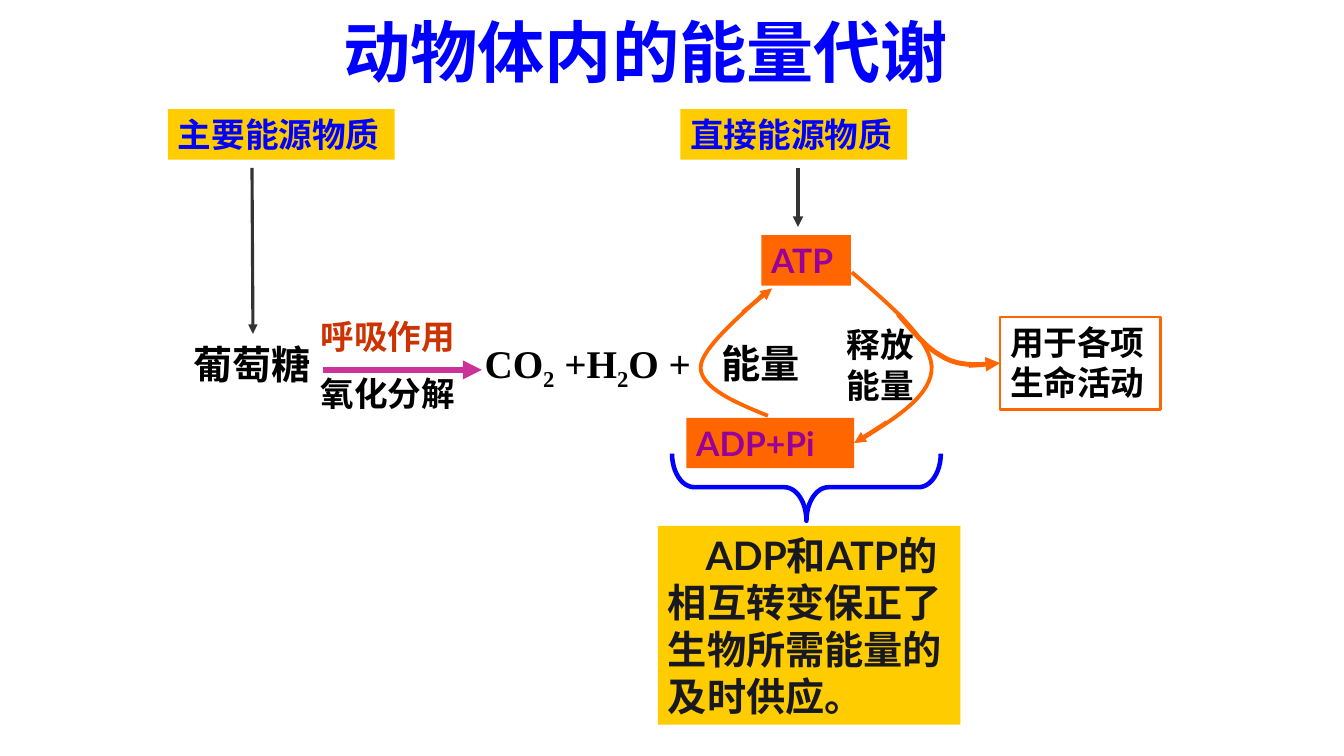
from lxml.etree import SubElement
from pptx import Presentation
from pptx.dml.color import RGBColor
from pptx.enum.shapes import MSO_CONNECTOR, MSO_SHAPE
from pptx.enum.text import MSO_ANCHOR, PP_ALIGN
from pptx.oxml.ns import qn
from pptx.util import Pt

SERIF, SANS = "Times New Roman", "Lato"
BLUE, YELLOW, ORANGE, PURPLE = "0000FF", "FFCC00", "FF6600", "990099"

presentation = Presentation()
presentation.slide_width, presentation.slide_height = Pt(960), Pt(540)
slide = presentation.slides.add_slide(presentation.slide_layouts[6])
shapes = slide.shapes


def color(hex_code):
    return RGBColor.from_string(hex_code)


def add_label(lines, left, top, width, height, size, text_colors,
              font=SERIF, fill=None, outline=None, indent=0, tab=None):
    """Each line is a list of runs; every second run is a subscript."""
    box = [Pt(value) for value in (left, top, width, height)]
    if fill or outline:
        shape = shapes.add_shape(MSO_SHAPE.RECTANGLE, *box)
        shape.shadow.inherit = False
        shape.fill.background()
        shape.line.fill.background()
        if fill:
            shape.fill.solid()
            shape.fill.fore_color.rgb = color(fill)
        if outline:
            shape.line.color.rgb = color(outline)
            shape.line.width = Pt(1.75)
    else:
        shape = shapes.add_textbox(*box)
    frame = shape.text_frame
    frame.word_wrap = True
    frame.vertical_anchor = MSO_ANCHOR.TOP
    for index, (runs, text_color) in enumerate(zip(lines, text_colors)):
        paragraph = frame.add_paragraph() if index else frame.paragraphs[0]
        paragraph.alignment = PP_ALIGN.LEFT
        paragraph.space_before = Pt(size / 2 if index else 0)
        properties = paragraph._p.get_or_add_pPr()
        if indent:
            properties.set("indent", str(Pt(indent)))
        if tab:
            stops = SubElement(properties, qn("a:tabLst"))
            SubElement(stops, qn("a:tab"), pos=str(Pt(tab)), algn="l")
        paragraph.font.size = Pt(size)
        paragraph.font.bold = True
        paragraph.font.name = font
        paragraph.font.color.rgb = color(text_color)
        for position, text in enumerate(runs):
            run = paragraph.add_run()
            run.text = text
            if position % 2:
                run.font._element.set("baseline", "-25000")
    return shape


# Title and headings
add_label([["动物体内的能量代谢"]], 238.2, 4, 546, 65, 48, [BLUE])
for heading, left in (("主要能源物质", 120), ("直接能源物质", 486)):
    add_label([[heading]], left, 78, 162, 36, 24, [BLUE], fill=YELLOW)

# Breakdown of glucose
add_label([["葡萄糖"]], 131, 239.5, 120, 41, 28, ["000000"])
add_label([["呼吸作用"], ["氧化分解"]], 222, 222, 114, 80, 24, ["CC3300", "000000"])
add_label([["CO", "2", " +H", "2", "O +\t能量"]], 339, 238.5, 253, 41, 28,
          ["000000"], tab=169)

# ATP cycle
adp_box = add_label([["ADP+Pi"]], 490.2, 298.5, 120, 36, 24, [PURPLE], SANS, ORANGE)
add_label([["ATP"]], 543.8, 168, 64, 36, 24, [PURPLE], SANS, ORANGE)
add_label([["释放能量"]], 597.8, 228.2, 72, 66, 24, ["000000"])
activity_box = add_label([["用于各项生命活动"]], 714.4, 226.4, 114.5, 66, 24,
                         ["000000"], outline=ORANGE)

# Curves: start point, then three points per Bezier segment
curves = (
    (2.75, [(548.5, 297), (525, 287.5), (501, 277), (500.5, 263),
            (499.5, 248.5), (537, 219), (545, 210)]),
    (2.75, [(616.5, 313), (641.5, 297.5), (666.5, 281.5), (665.5, 261.5),
            (664, 242), (636, 218), (608.5, 194.5)]),
    (3.5, [(641.5, 224.5), (651.5, 236), (661.5, 248.5), (672, 254),
           (682, 260.5), (692, 260.5), (701.5, 260.5)]),
)
for width, points in curves:
    start, *vertices = [(Pt(x), Pt(y)) for x, y in points]
    builder = shapes.build_freeform(*start)
    builder.add_line_segments(vertices, close=False)
    curve = builder.convert_to_shape()
    segments = list(curve._element.iter(qn("a:lnTo")))
    for first in range(0, len(segments), 3):
        bezier = SubElement(segments[first].getparent(), qn("a:cubicBezTo"))
        for segment in segments[first:first + 3]:
            bezier.append(segment[0])
            segment.getparent().remove(segment)
    curve.shadow.inherit = False
    curve.fill.background()
    curve.line.color.rgb = color(ORANGE)
    curve.line.width = Pt(width)

# Arrows: ends, colour, width, box reached and its side
arrows = (
    (230.5, 264.2, 344.2, 264.2, "CC3399", 4.5, None, None),
    (180, 120, 180.7, 238.5, "333333", 2.25, None, None),
    (570, 120, 570, 162, "333333", 2.5, None, None),
    (530.5, 223, 551.5, 206, ORANGE, 2.75, None, None),
    (633.5, 301.5, 609, 319.5, ORANGE, 2.75, adp_box, 3),
    (692, 261, 714, 259, ORANGE, 3.5, activity_box, 1),
)
for x1, y1, x2, y2, line_color, width, target, side in arrows:
    arrow = shapes.add_connector(MSO_CONNECTOR.STRAIGHT, Pt(x1), Pt(y1), Pt(x2), Pt(y2))
    if target:
        arrow.end_connect(target, side)
    arrow.line.color.rgb = color(line_color)
    arrow.line.width = Pt(width)
    SubElement(arrow.line._get_or_add_ln(), qn("a:tailEnd"), type="triangle")
    SubElement(arrow._element.spPr, qn("a:effectLst"))

# Brace and conclusion
brace = shapes.add_shape(MSO_SHAPE.RIGHT_BRACE, Pt(552), Pt(252), Pt(48), Pt(192))
brace.rotation = 90
brace.adjustments[0] = 0.33
brace.shadow.inherit = False
brace.fill.background()
brace.line.color.rgb = color(BLUE)
brace.line.width = Pt(3.25)
add_label([["ADP和ATP的相互转变保正了生物所需能量的及时供应。"]], 470, 375.7, 216, 142, 28,
          ["181820"], SANS, YELLOW, indent=27)

presentation.save("out.pptx")
